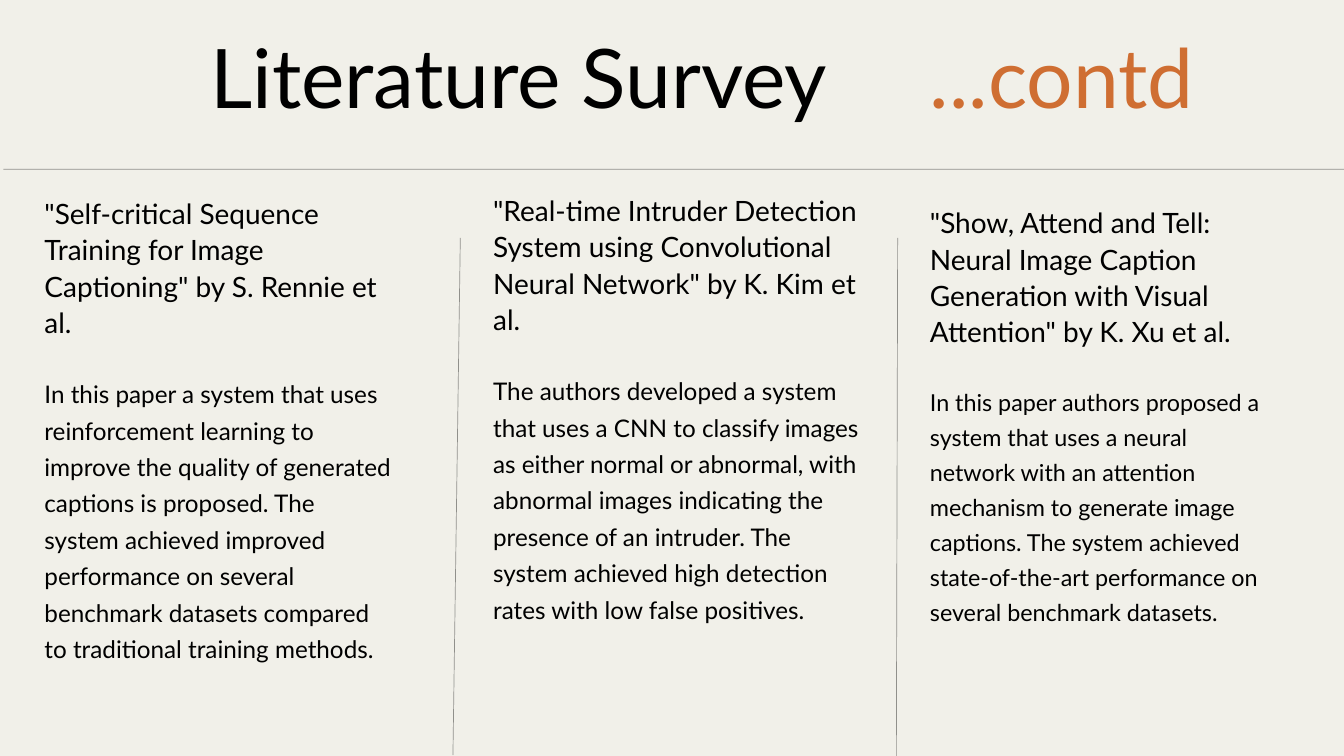
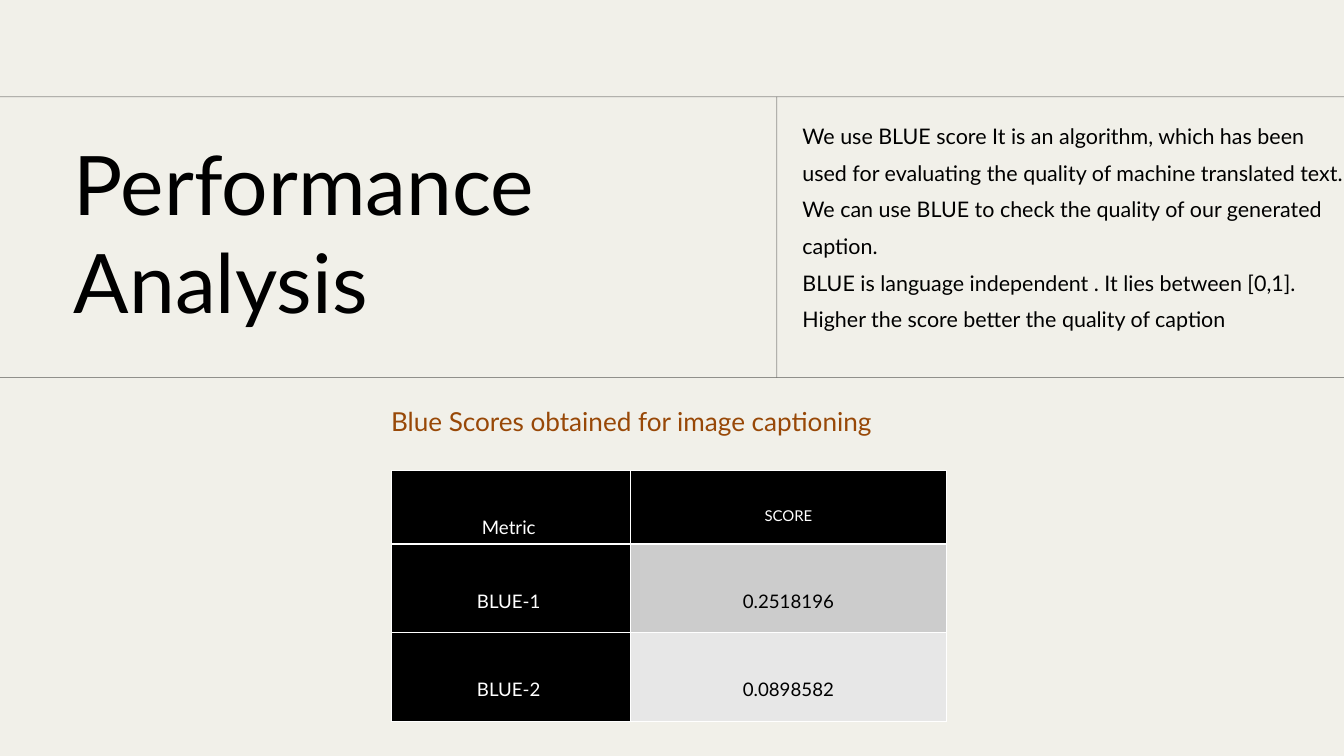
from dataclasses import dataclass
from typing import Any

import lxml.etree
import pptx
import pptx.dml.color
import pptx.enum.shapes
import pptx.enum.text
import pptx.oxml
import pptx.oxml.ns
import pptx.util

Cm = pptx.util.Cm
Pt = pptx.util.Pt
RGBColor = pptx.dml.color.RGBColor
qn = pptx.oxml.ns.qn

IVORY = RGBColor(0xF1, 0xF0, 0xE9)
BLACK = RGBColor(0x00, 0x00, 0x00)
WHITE = RGBColor(0xFF, 0xFF, 0xFF)
ORANGE = RGBColor(0xCF, 0x6E, 0x32)
BROWN = RGBColor(0x98, 0x48, 0x07)
GREY = RGBColor(0xCC, 0xCC, 0xCC)
LIGHT_GREY = RGBColor(0xE7, 0xE7, 0xE7)

FONT_NAME = "Lato"
WIDTH = 50.8
HEIGHT = 28.58
SUMMARY_OFFSET = 6.75
HEADING_HEIGHT = 5.49
TITLE_TAB = 27.2


@dataclass(frozen=True)
class Box:
    left: float
    top: float
    width: float
    height: float

    def lengths(self) -> tuple[Any, ...]:
        return Cm(self.left), Cm(self.top), Cm(self.width), Cm(self.height)


@dataclass(frozen=True)
class Style:
    size: float
    spacing: Any = None
    color: RGBColor = BLACK
    inset: float = 0
    wrap: bool = True


@dataclass(frozen=True)
class Rule:
    start_x: float
    start_y: float
    end_x: float
    end_y: float


@dataclass(frozen=True)
class Paper:
    left: float
    top: float
    width: float
    summary_height: float
    heading: str
    summary: str
    summary_style: Style


@dataclass(frozen=True)
class ScoreCell:
    text: str
    fill: RGBColor
    color: RGBColor = WHITE
    size: float = 20


TITLE = Style(88, Pt(105.6))
HEADING = Style(30, Pt(39))
SUMMARY = Style(26, Pt(39))
SMALL_SUMMARY = Style(25, Pt(37.5))
NOTES = Style(23, Pt(39.3))
CAPTION = Style(28, color=BROWN, inset=0.25, wrap=False)

PAPERS = [
    Paper(
        1.68, 7.32, 13.23, 14.5,
        '"Self-critical Sequence Training for Image Captioning" by S. Rennie et al.',
        "In this paper a system that uses reinforcement learning to improve the quality of "
        "generated captions is proposed. The system achieved improved performance on several "
        "benchmark datasets compared to traditional training methods.",
        SUMMARY,
    ),
    Paper(
        18.64, 7.21, 14.02, 12.01,
        '"Real-time Intruder Detection System using Convolutional Neural Network" by K. Kim et al.',
        "The authors developed a system that uses a CNN to classify images as either normal or "
        "abnormal, with abnormal images indicating the presence of an intruder. The system "
        "achieved high detection rates with low false positives.",
        SUMMARY,
    ),
    Paper(
        35.15, 7.67, 12.57, 11.56,
        '"Show, Attend and Tell: Neural Image Caption Generation with Visual Attention" by K. Xu et al.',
        "In this paper authors proposed a system that uses a neural network with an attention "
        "mechanism to generate image captions. The system achieved state-of-the-art performance "
        "on several benchmark datasets.",
        SMALL_SUMMARY,
    ),
]
SURVEY_RULES = [
    Rule(0.13, 6.4, WIDTH, 6.4),
    Rule(17.4, 8.99, 17.12, 28.55),
    Rule(33.93, 8.99, 33.88, HEIGHT),
]
ANALYSIS_RULES = [
    Rule(0, 3.66, WIDTH, 3.66),
    Rule(0, 14.27, WIDTH, 14.27),
    Rule(29.36, 3.66, 29.36, 14.27),
]
SCORE_NOTES = [
    "We use BLUE score It is an algorithm, which has been used for evaluating the quality of "
    "machine translated text.",
    "We can use BLUE to check the quality of our generated caption.",
    "BLUE is language independent . It lies between [0,1]. Higher the score better the quality "
    "of caption",
]
SCORE_COLUMNS = [9.02, 11.94]
SCORE_ROWS = [2.79, 3.33, 3.38]
SCORE_CELLS = [
    [ScoreCell("Metric ", BLACK), ScoreCell("SCORE", BLACK, size=16)],
    [ScoreCell("BLUE-1 ", BLACK), ScoreCell("0.2518196", GREY, BLACK)],
    [ScoreCell("BLUE-2 ", BLACK), ScoreCell("0.0898582", LIGHT_GREY, BLACK)],
]


def apply_format(target: Any, values: dict[str, Any]) -> None:
    for name, value in values.items():
        setattr(target, name, value)


def add_run(paragraph: Any, text: str, size: float, color: RGBColor) -> None:
    run = paragraph.add_run()
    run.text = text
    apply_format(run.font, {"name": FONT_NAME, "size": Pt(size), "bold": False})
    run.font.color.rgb = color


def add_text(shapes: Any, box: Box, texts: list[str], style: Style) -> Any:
    shape = shapes.add_textbox(*box.lengths())
    frame = shape.text_frame
    apply_format(frame, {
        "word_wrap": style.wrap,
        "auto_size": pptx.enum.text.MSO_AUTO_SIZE.SHAPE_TO_FIT_TEXT,
        "margin_left": Cm(style.inset),
        "margin_right": Cm(style.inset),
        "margin_top": Cm(style.inset / 2),
        "margin_bottom": Cm(style.inset / 2),
    })
    for index, text in enumerate(texts):
        paragraph = frame.add_paragraph() if index else frame.paragraphs[0]
        if style.spacing is not None:
            paragraph.line_spacing = style.spacing
        add_run(paragraph, text, style.size, style.color)
    return shape


def add_rule(slide: Any, rule: Rule) -> None:
    connector = slide.shapes.add_connector(
        pptx.enum.shapes.MSO_CONNECTOR.STRAIGHT,
        Cm(rule.start_x), Cm(rule.start_y), Cm(rule.end_x), Cm(rule.end_y),
    )
    connector.line.width = Pt(0.75)
    connector.line.color.rgb = BLACK
    properties = connector.element.spPr
    color = properties.find(".//" + qn("a:srgbClr"))
    lxml.etree.SubElement(color, qn("a:alpha"), val="40000")
    lxml.etree.SubElement(properties, qn("a:effectLst"))


def add_slide(presentation: Any, rules: list[Rule]) -> Any:
    slide = presentation.slides.add_slide(presentation.slide_layouts[6])
    slide.background.fill.solid()
    slide.background.fill.fore_color.rgb = IVORY
    for rule in rules:
        add_rule(slide, rule)
    return slide


def add_paper(slide: Any, paper: Paper) -> None:
    shapes = slide.shapes.add_group_shape().shapes
    heading_box = Box(paper.left, paper.top, paper.width, HEADING_HEIGHT)
    summary_box = Box(
        paper.left, paper.top + SUMMARY_OFFSET, paper.width, paper.summary_height
    )
    add_text(shapes, heading_box, [paper.heading], HEADING)
    add_text(shapes, summary_box, [paper.summary], paper.summary_style)


def add_borders(cell: Any, bottom_width: float) -> None:
    properties = cell._tc.get_or_add_tcPr()
    widths = {"a:lnL": 1, "a:lnR": 1, "a:lnT": 1, "a:lnB": bottom_width}
    for index, (tag, width) in enumerate(widths.items()):
        border = lxml.etree.Element(qn(tag), w=str(Pt(width)))
        fill = lxml.etree.SubElement(border, qn("a:solidFill"))
        lxml.etree.SubElement(fill, qn("a:srgbClr"), val=str(WHITE))
        properties.insert(index, border)


def fill_cell(cell: Any, content: ScoreCell, bottom_width: float) -> None:
    apply_format(cell, {
        "margin_left": Cm(0.2),
        "margin_right": Cm(0.2),
        "margin_top": Cm(0.03),
        "margin_bottom": Cm(0),
    })
    cell.fill.solid()
    cell.fill.fore_color.rgb = content.fill
    paragraph = cell.text_frame.paragraphs[0]
    apply_format(paragraph, {
        "alignment": pptx.enum.text.PP_ALIGN.CENTER,
        "line_spacing": 3.0,
    })
    add_run(paragraph, content.text, content.size, content.color)
    add_borders(cell, bottom_width)


def add_score_table(slide: Any) -> None:
    box = Box(14.81, 17.78, sum(SCORE_COLUMNS), sum(SCORE_ROWS))
    table = slide.shapes.add_table(
        len(SCORE_ROWS), len(SCORE_COLUMNS), *box.lengths()
    ).table
    apply_format(table, {"first_row": False, "horz_banding": False})
    for column, width in zip(table.columns, SCORE_COLUMNS):
        column.width = Cm(width)
    for row_index, (height, contents) in enumerate(zip(SCORE_ROWS, SCORE_CELLS)):
        table.rows[row_index].height = Cm(height)
        for column_index, content in enumerate(contents):
            fill_cell(
                table.cell(row_index, column_index), content, 1 if row_index else 3
            )


def build_survey(presentation: Any) -> None:
    slide = add_slide(presentation, SURVEY_RULES)
    for paper in PAPERS:
        add_paper(slide, paper)
    title = add_text(
        slide.shapes, Box(7.95, 0.99, 41.76, 3.73), ["Literature Survey\t"], TITLE
    )
    paragraph = title.text_frame.paragraphs[0]
    add_run(paragraph, "...contd", TITLE.size, ORANGE)
    tabs = lxml.etree.SubElement(paragraph._p.get_or_add_pPr(), qn("a:tabLst"))
    lxml.etree.SubElement(tabs, qn("a:tab"), pos=str(Cm(TITLE_TAB)), algn="l")


def build_analysis(presentation: Any) -> None:
    slide = add_slide(presentation, ANALYSIS_RULES)
    add_text(slide.shapes, Box(30.33, 4.24, 20.47, 10.92), SCORE_NOTES, NOTES)
    add_text(slide.shapes, Box(2.79, 5.03, 25.58, 7.44), ["Performance Analysis"], TITLE)
    add_score_table(slide)
    add_text(
        slide.shapes,
        Box(14.53, 15.21, 21.54, 1.45),
        ["Blue Scores obtained for image captioning"],
        CAPTION,
    )


def main() -> None:
    presentation = pptx.Presentation()
    apply_format(presentation, {"slide_width": Cm(WIDTH), "slide_height": Cm(HEIGHT)})
    build_survey(presentation)
    build_analysis(presentation)
    presentation.save("out.pptx")


if __name__ == "__main__":
    main()
